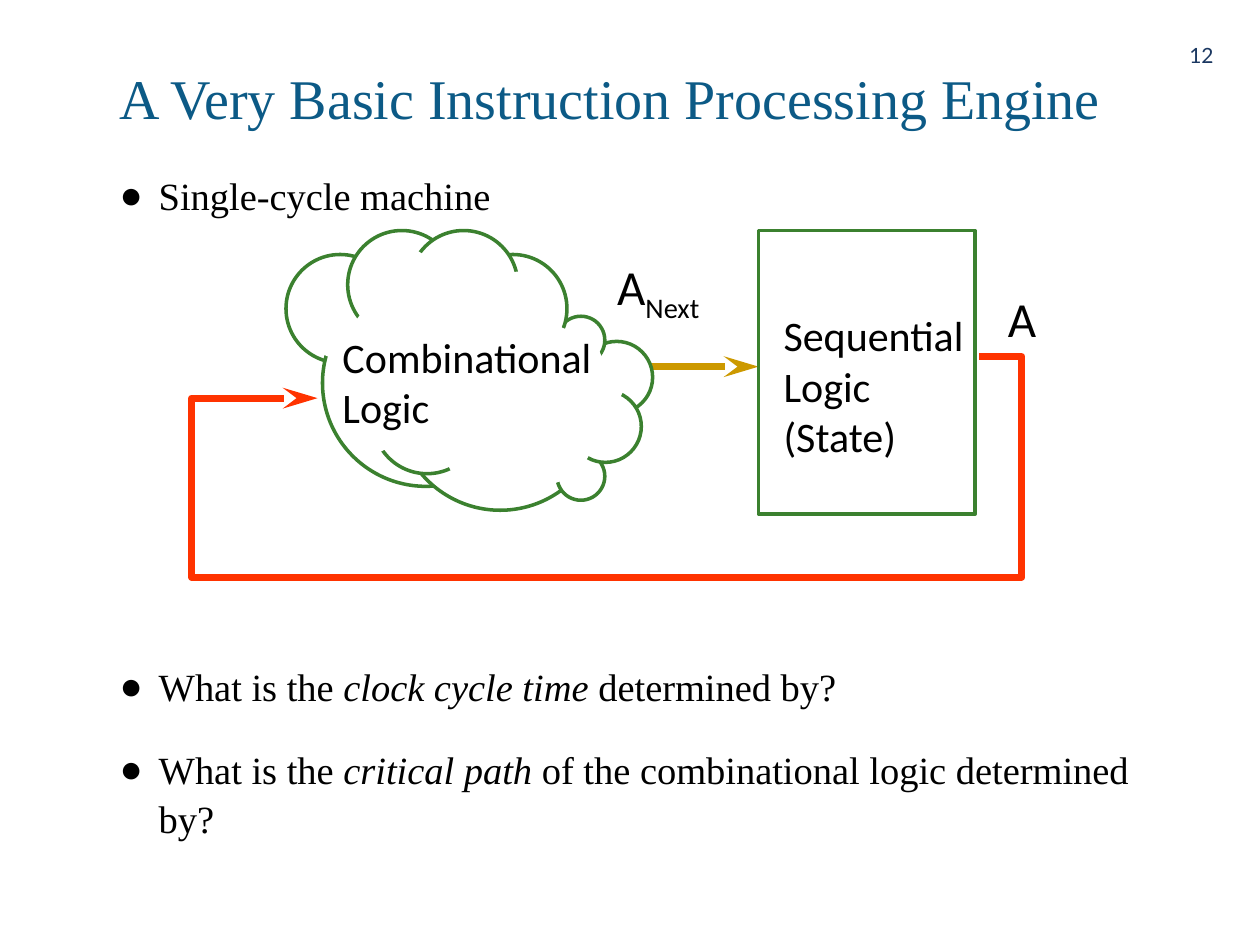
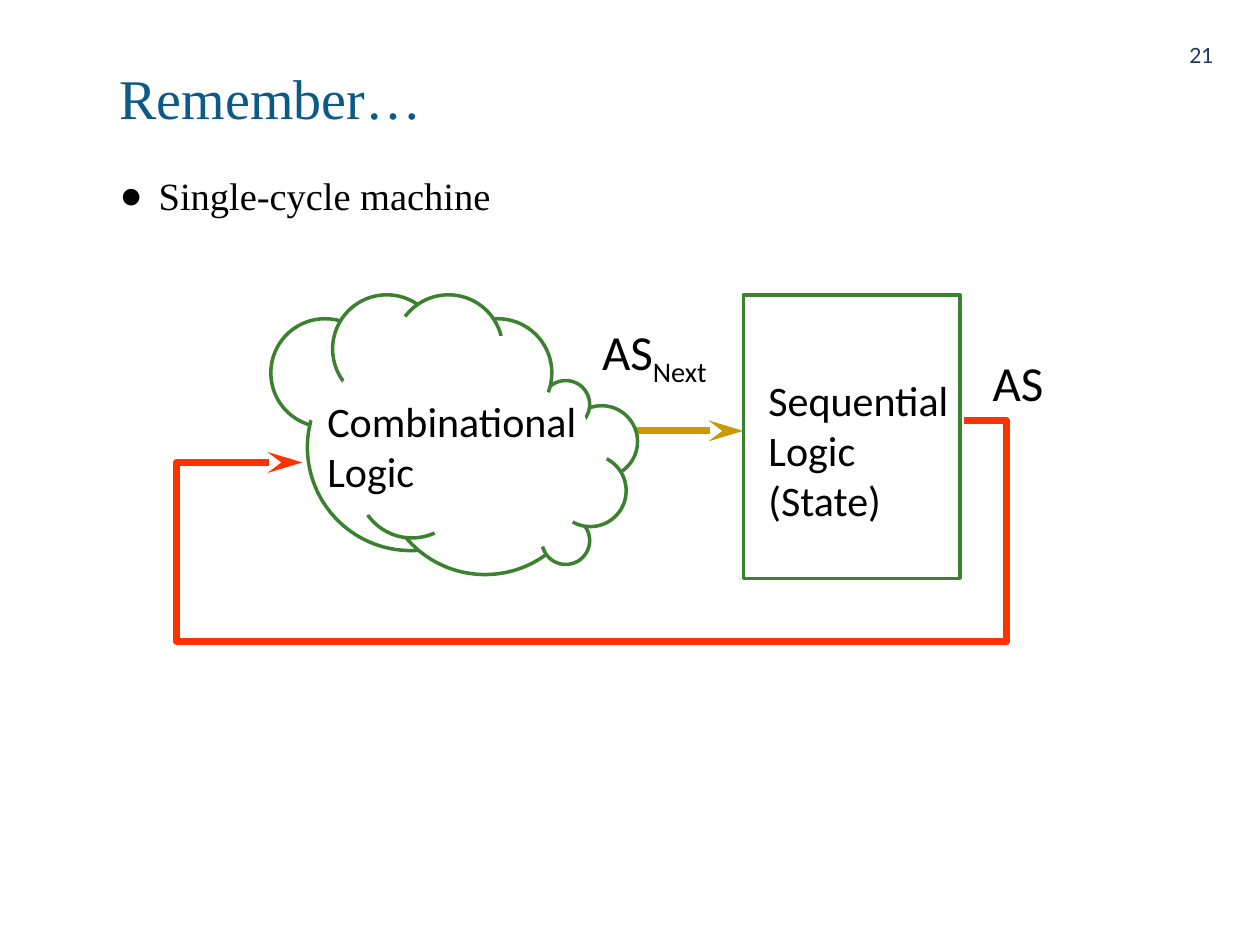
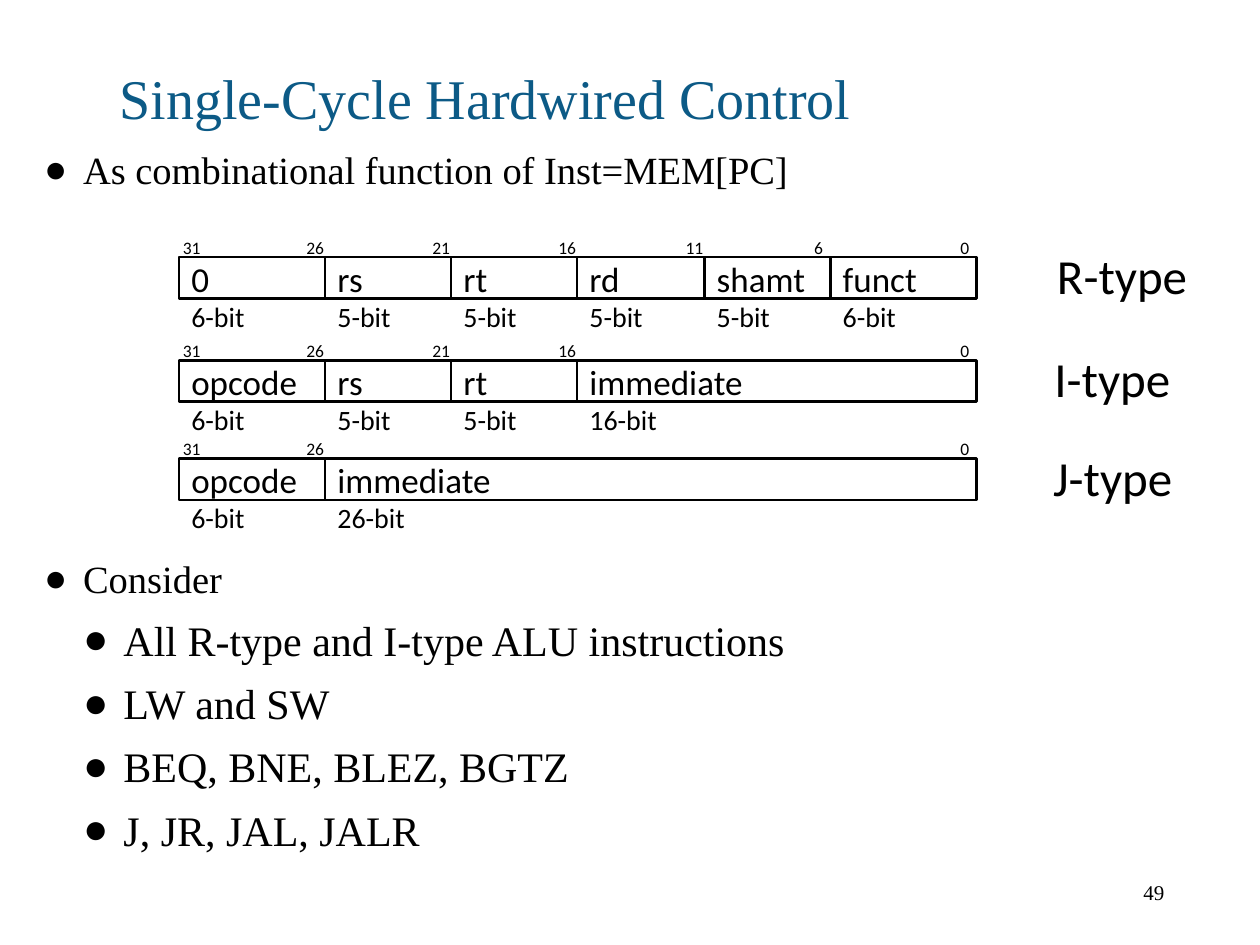
from dataclasses import dataclass

from lxml import etree
from pptx import Presentation
from pptx.dml.color import RGBColor
from pptx.enum.shapes import MSO_CONNECTOR, MSO_SHAPE
from pptx.enum.text import MSO_ANCHOR, MSO_AUTO_SIZE, PP_ALIGN
from pptx.oxml.ns import qn
from pptx.util import Inches, Pt

LEFT, RIGHT = PP_ALIGN.LEFT, PP_ALIGN.RIGHT
TOP, MIDDLE, BOTTOM = MSO_ANCHOR.TOP, MSO_ANCHOR.MIDDLE, MSO_ANCHOR.BOTTOM
NO_FIT = MSO_AUTO_SIZE.NONE
OVAL, RECT = MSO_SHAPE.OVAL, MSO_SHAPE.RECTANGLE
STRAIGHT = MSO_CONNECTOR.STRAIGHT

COLORS = {
    "title": "0C5A86",
    "number": "1B3861",
    "text": "000000",
    "paper": "FFFFFF",
    "logic": "3B812F",
    "next": "CC9900",
    "feedback": "FF3300",
}
SERIF, SANS, NUMBER_FONT = "Times New Roman", "Calibri", "Lato"


@dataclass(frozen=True)
class Style:
    """Font, size in points and colour name of a run."""
    font: str
    size: int
    color: str = "text"


@dataclass(frozen=True)
class Run:
    """A piece of text with its own emphasis."""
    text: str
    italic: bool = False
    subscript: bool = False


@dataclass(frozen=True)
class Box:
    """Left, top, width and height in inches."""
    x: float
    y: float
    w: float
    h: float

    def emu(self) -> list:
        """Return the four lengths for python-pptx."""
        return [Inches(v) for v in (self.x, self.y, self.w, self.h)]


@dataclass(frozen=True)
class Bullet:
    """A list item with its level and the space above it."""
    runs: tuple
    before: float = 20
    level: int = 0


@dataclass(frozen=True)
class InstructionFormat:
    """One instruction layout: its fields are (name, bits) pairs."""
    name: str
    top: float
    label: Box
    fields: tuple


TITLE = Style(SERIF, 32, "title")
LISTS = (Style(SERIF, 22), Style(SERIF, 24))
INDENTS = ((0.31, -0.31), (0.63, -0.32))
PAGE_NUMBER = Style(NUMBER_FONT, 12, "number")
PLAIN_NUMBER = Style(SERIF, 12)
SIGNAL, LOGIC = Style(SANS, 28), Style(SANS, 24)
FIELD, BITS, BIT_INDEX = Style(SANS, 20), Style(SANS, 16), Style(SANS, 10)

TITLE_BOX = Box(0.85, 0.42, 8.29, 0.67)
BODY_BOX = Box(0.85, 1.3, 8.29, 5.3)
WIDE_BODY_BOX = Box(0.25, 1.09, 9.42, 5.68)
NUMBER_BOX = Box(9.19, 0.24, 0.54, 0.4)
LOW_NUMBER_BOX = Box(3.61, 6.88, 5.73, 0.4)

BACK_PUFFS = ((2.27, 2.02, 0.86), (2.56, 2.22, 1.64))
FRONT_PUFFS = (
    (3.15, 2.41, 1.64), (4.61, 2.71, 0.57), (4.42, 3.59, 0.38),
    (4.42, 2.51, 0.38), (4.52, 3.1, 0.57), (2.76, 1.83, 0.86),
    (3.64, 2.02, 0.86), (3.25, 1.83, 0.86), (2.96, 2.9, 0.86),
)
CLOUD_NECK = ((2.8, 2.41), (2.51, 2.79), (2.65, 2.85), (2.85, 2.45))
CLOUD_CORE = (
    (3.28, 1.97), (3.68, 2.21), (4.15, 2.15), (4.46, 2.6), (4.54, 2.63),
    (4.75, 2.77), (4.8, 2.89), (4.95, 3.1), (4.92, 3.16), (4.59, 3.77),
    (4.36, 3.85), (3.6, 3.78), (3.55, 3.68), (3.05, 3.57), (2.96, 3.62),
    (2.77, 2.61),
)
FEEDBACK = ((7.77, 2.83), (8.11, 2.83), (8.11, 4.58), (1.52, 4.58),
            (1.52, 3.16), (2.52, 3.16))

WORD_BITS = 32
BIT_EDGES = {32: 1.42, 26: 2.58, 21: 3.58, 16: 4.58, 11: 5.59, 6: 6.59, 0: 7.75}
FORMATS = (
    InstructionFormat("R-type", 2.04, Box(8.29, 1.9, 1.25, 0.57), (
        ("0", 6), ("rs", 5), ("rt", 5), ("rd", 5), ("shamt", 5), ("funct", 6))),
    InstructionFormat("I-type", 2.86, Box(8.27, 2.72, 1.13, 0.57), (
        ("opcode", 6), ("rs", 5), ("rt", 5), ("immediate", 16))),
    InstructionFormat("J-type", 3.64, Box(8.26, 3.5, 1.16, 0.57), (
        ("opcode", 6), ("immediate", 26))),
)


def rgb(name: str) -> RGBColor:
    """Look up a named colour."""
    return RGBColor.from_string(COLORS[name])


def add_runs(p, runs: tuple, style: Style) -> None:
    """Append styled runs to a paragraph."""
    for run in runs:
        r = p.add_run()
        r.text = run.text
        r.font.name = style.font
        r.font.size = Pt(style.size)
        r.font.color.rgb = rgb(style.color)
        if run.italic:
            r.font.italic = True
        if run.subscript:
            r.font._element.set("baseline", "-25000")


def add_lines(tf, lines: list, align=LEFT) -> None:
    """Fill a text frame with one paragraph per (runs, style) pair."""
    for i, (runs, style) in enumerate(lines):
        p = tf.add_paragraph() if i else tf.paragraphs[0]
        p.alignment = align
        add_runs(p, runs, style)


def add_label(s, box: Box, lines: list, align=LEFT, anchor=TOP, wrap=False) -> None:
    """Add a text box."""
    tf = s.shapes.add_textbox(*box.emu()).text_frame
    tf.word_wrap = wrap
    tf.vertical_anchor = anchor
    add_lines(tf, lines, align)


def place(shape, box: Box) -> None:
    """Move a placeholder and stop it from shrinking its text."""
    shape.left, shape.top, shape.width, shape.height = box.emu()
    shape.text_frame.auto_size = NO_FIT


def add_bullets(shape, bullets: list) -> None:
    """Fill the body placeholder with a bulleted list."""
    tf = shape.text_frame
    for i, bullet in enumerate(bullets):
        p = tf.add_paragraph() if i else tf.paragraphs[0]
        p.level = bullet.level
        p.line_spacing = 1.05
        p.space_before = Pt(bullet.before)
        margin, indent = INDENTS[bullet.level]
        pPr = p._p.get_or_add_pPr()
        pPr.set("marL", str(Inches(margin)))
        pPr.set("indent", str(Inches(indent)))
        etree.SubElement(pPr, qn("a:buChar")).set("char", "●")
        add_runs(p, bullet.runs, LISTS[bullet.level])


def add_slide(prs, title: str, body: Box, bullets: list, number: str,
              number_box: Box = NUMBER_BOX, number_style: Style = PAGE_NUMBER):
    """Add a slide with its title, list and page number."""
    s = prs.slides.add_slide(prs.slide_layouts[1])
    place(s.shapes.title, TITLE_BOX)
    tf = s.shapes.title.text_frame
    tf.vertical_anchor = BOTTOM
    add_lines(tf, [((Run(title),), TITLE)])
    place(s.placeholders[1], body)
    add_bullets(s.placeholders[1], bullets)
    add_label(s, number_box, [((Run(number),), number_style)], RIGHT, MIDDLE, True)
    return s


def paint(shape, fill: str = "", line: str = "", width: float = 2) -> None:
    """Set fill and outline, or remove those that are not named."""
    shape.shadow.inherit = False
    if fill:
        shape.fill.solid()
        shape.fill.fore_color.rgb = rgb(fill)
    else:
        shape.fill.background()
    if line:
        shape.line.color.rgb = rgb(line)
        shape.line.width = Pt(width)
    else:
        shape.line.fill.background()


def add_path(shapes, points: list, close: bool):
    """Draw a polygon or an open polyline through points in inches."""
    start, *rest = [(Inches(x), Inches(y)) for x, y in points]
    builder = shapes.build_freeform(*start)
    builder.add_line_segments(rest, close=close)
    return builder.convert_to_shape()


def add_arrowhead(shape) -> None:
    """Put a long stealth head at the end of a line."""
    head = etree.SubElement(shape.line._get_or_add_ln(), qn("a:tailEnd"))
    head.set("type", "stealth")
    head.set("w", "med")
    head.set("len", "lg")


def add_cloud(s, dx: float, dy: float) -> None:
    """Draw the combinational logic cloud as a group."""
    shapes = s.shapes.add_group_shape().shapes
    for puffs, cover in ((BACK_PUFFS, CLOUD_NECK), (FRONT_PUFFS, CLOUD_CORE)):
        for x, y, size in puffs:
            puff = shapes.add_shape(OVAL, *Box(x + dx, y + dy, size, size).emu())
            paint(puff, "paper", "logic")
        paint(add_path(shapes, [(x + dx, y + dy) for x, y in cover], True), "paper")


def add_machine(s, state: str, state_width: float, next_width: float,
                dx: float = 0, dy: float = 0) -> None:
    """Draw the single-cycle machine, shifted by dx and dy inches."""
    arrow = s.shapes.add_connector(
        STRAIGHT, Inches(5.11 + dx), Inches(2.91 + dy),
        Inches(6.02 + dx), Inches(2.91 + dy))
    arrow.line.color.rgb = rgb("next")
    arrow.line.width = Pt(4)
    add_arrowhead(arrow)
    etree.SubElement(arrow._element.spPr, qn("a:effectLst"))

    add_cloud(s, dx, dy)

    loop = add_path(s.shapes, [(x + dx, y + dy) for x, y in FEEDBACK], False)
    paint(loop, line="feedback", width=4)
    add_arrowhead(loop)
    register = s.shapes.add_shape(RECT, *Box(6.02 + dx, 1.83 + dy, 1.72, 2.25).emu())
    paint(register, line="logic")

    labels = (
        (Box(4.8 + dx, 1.99 + dy, next_width, 0.57),
         [((Run(state), Run("Next", subscript=True)), SIGNAL)]),
        (Box(7.9 + dx, 2.24 + dy, state_width, 0.57), [((Run(state),), SIGNAL)]),
        (Box(6.12 + dx, 2.41 + dy, 1.65, 1.31),
         [((Run(t),), LOGIC) for t in ("Sequential", "Logic", "(State)")]),
        (Box(2.62 + dx, 2.58 + dy, 2.2, 0.91),
         [((Run(t),), LOGIC) for t in ("Combinational", "Logic")]),
    )
    for box, lines in labels:
        add_label(s, box, lines)


def add_bit_index(s, bit: int, left: float, top: float) -> None:
    """Write a bit index above a field border."""
    width = 0.35 if bit > 9 else 0.27
    add_label(s, Box(left, top - 0.21, width, 0.27),
              [((Run(str(bit)),), BIT_INDEX)], RIGHT)


def add_format(s, fmt: InstructionFormat) -> None:
    """Draw one instruction format with its bit indices and name."""
    high = WORD_BITS
    for name, bits in fmt.fields:
        low = high - bits
        left, right = BIT_EDGES[high], BIT_EDGES[low]
        field = s.shapes.add_shape(RECT, *Box(left, fmt.top, right - left, 0.33).emu())
        paint(field, "paper", "text", 1.5)
        tf = field.text_frame
        tf.word_wrap = False
        tf.vertical_anchor = TOP
        tf.margin_top = 0
        add_lines(tf, [((Run(name),), FIELD), ((Run(f"{bits}-bit"),), BITS)])
        high = low
    add_bit_index(s, WORD_BITS - 1, BIT_EDGES[WORD_BITS] - 0.08, fmt.top)
    low = WORD_BITS
    for _, bits in fmt.fields:
        low -= bits
        add_bit_index(s, low, BIT_EDGES[low] - (0.26 if low > 9 else 0.23), fmt.top)
    add_label(s, fmt.label, [((Run(fmt.name),), SIGNAL)])


def main() -> None:
    """Build the three slides and save them."""
    prs = Presentation()
    prs.slide_width, prs.slide_height = Inches(10), Inches(7.5)
    single_cycle = Bullet((Run("Single-cycle machine"),))

    s = add_slide(prs, "A Very Basic Instruction Processing Engine", BODY_BOX, [
        single_cycle,
        Bullet((Run("What is the "), Run("clock cycle time ", italic=True),
                Run("determined by?")), before=252.5),
        Bullet((Run("What is the "), Run("critical path", italic=True),
                Run(" of the combinational logic determined by?"))),
    ], "12")
    add_machine(s, "A", 0.43, 0.93)

    s = add_slide(prs, "Remember…", BODY_BOX, [single_cycle], "21")
    add_machine(s, "AS", 0.61, 1.11, -0.12, 0.51)

    instructions = ("All R-type and I-type ALU instructions", "LW and SW",
                    "BEQ, BNE, BLEZ, BGTZ", "J, JR, JAL, JALR")
    s = add_slide(prs, "Single-Cycle Hardwired Control", WIDE_BODY_BOX, [
        Bullet((Run("As combinational function of Inst=MEM[PC]"),)),
        Bullet((Run("Consider"),), before=206),
        *(Bullet((Run(text),), before=6, level=1) for text in instructions),
    ], "49", LOW_NUMBER_BOX, PLAIN_NUMBER)
    for fmt in FORMATS:
        add_format(s, fmt)

    prs.save("out.pptx")


if __name__ == "__main__":
    main()
